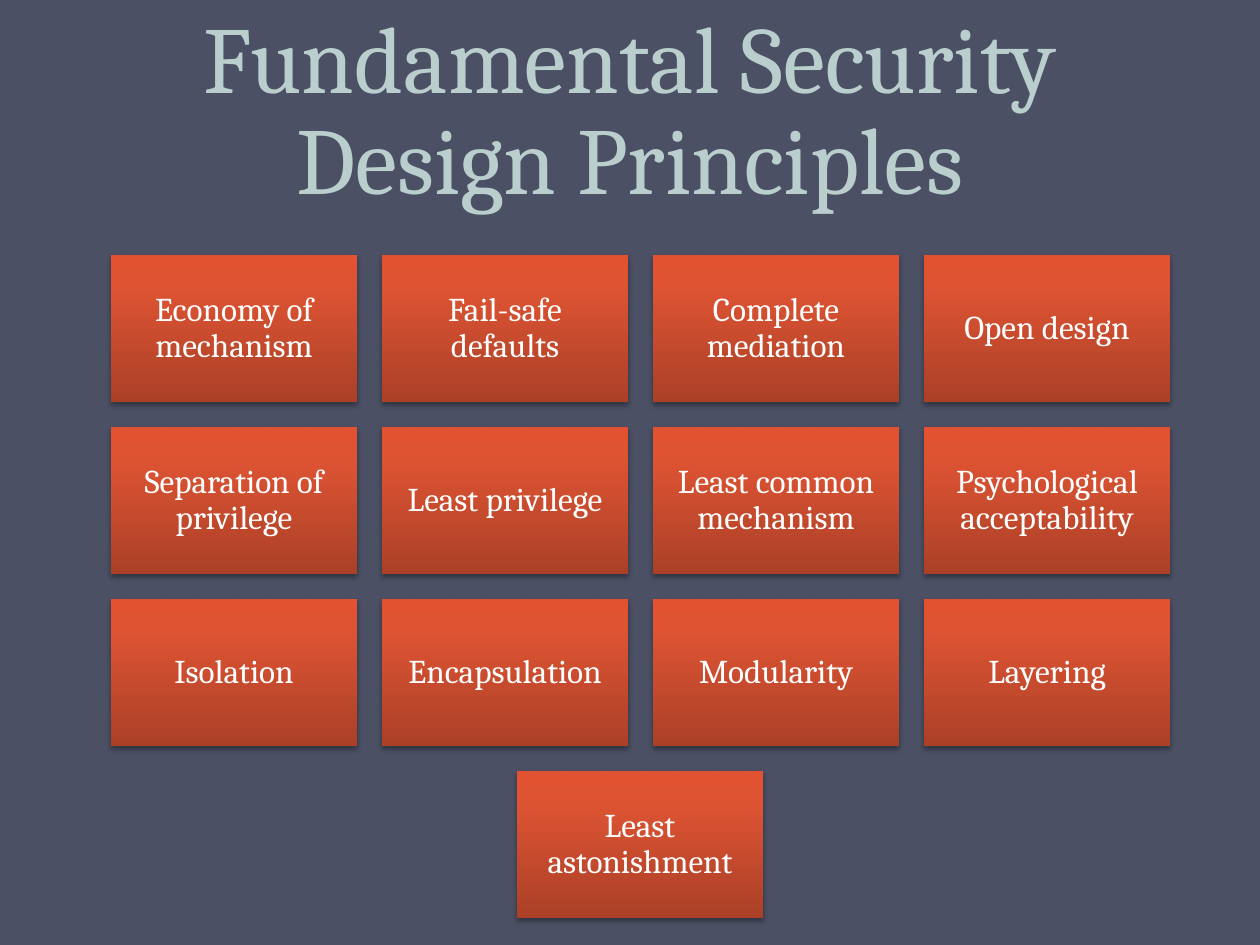
import lxml.etree
import pptx
import pptx.dml.color
import pptx.enum.shapes
import pptx.enum.text
import pptx.oxml
import pptx.oxml.ns
import pptx.util

RGB = pptx.dml.color.RGBColor
SLATE = RGB(0x4B, 0x50, 0x64)
MIST = RGB(0xBA, 0xCE, 0xCE)
WHITE = RGB(0xFF, 0xFF, 0xFF)
BLACK = RGB(0x00, 0x00, 0x00)
GRADIENT = ((0, RGB(0xAB, 0x40, 0x27)),
            (80, RGB(0xDE, 0x54, 0x33)),
            (100, RGB(0xE3, 0x52, 0x30)))

PRINCIPLES = (
    ("Economy of mechanism", "Fail-safe defaults", "Complete mediation", "Open design"),
    ("Separation of privilege", "Least privilege", "Least common mechanism",
     "Psychological acceptability"),
    ("Isolation", "Encapsulation", "Modularity", "Layering"),
    ("Least astonishment",),
)

# Tile grid, in px
LEFT, TOP = 111, 255
TILE_WIDTH, TILE_HEIGHT = 246, 147
STEP_X, STEP_Y = 271, 172
COLUMNS = 4


def px(length):
    return pptx.util.Emu(round(length * 914400 / 126))


class Sheet:
    font = "Cambria"

    def __init__(self, page):
        self.page = page

    def background(self, color):
        fill = self.page.background.fill
        fill.solid()
        fill.fore_color.rgb = color

    def label(self, shape, text, size, color, anchor, spacing):
        frame = shape.text_frame
        frame.word_wrap = True
        frame.vertical_anchor = anchor
        frame.text = text
        para = frame.paragraphs[0]
        para.alignment = pptx.enum.text.PP_ALIGN.CENTER
        para.line_spacing = spacing
        font = para.runs[0].font
        font.name, font.size = self.font, pptx.util.Pt(size)
        font.color.rgb = color

    def title(self, text, left, top, width, height):
        box = self.page.shapes.add_textbox(px(left), px(top), px(width), px(height))
        self.label(box, text, 54, MIST, pptx.enum.text.MSO_ANCHOR.BOTTOM, pptx.util.Pt(58))

    def tile(self, text, left, top):
        box = self.page.shapes.add_shape(
            pptx.enum.shapes.MSO_SHAPE.RECTANGLE,
            px(left), px(top), px(TILE_WIDTH), px(TILE_HEIGHT))
        box.line.fill.background()
        self.shade(box)
        self.drop_shadow(box)
        frame = box.text_frame
        frame.margin_left = frame.margin_right = px(10)
        frame.margin_top = frame.margin_bottom = px(10)
        self.label(box, text, 19, WHITE, pptx.enum.text.MSO_ANCHOR.MIDDLE, 0.9)

    def shade(self, box):
        # Three stops, running from the bottom edge to the top
        box.fill.background()
        stops = "".join(
            f'<a:gs pos="{place * 1000}"><a:srgbClr val="{color}"/></a:gs>'
            for place, color in GRADIENT)
        gradient = pptx.oxml.parse_xml(
            f'<a:gradFill {pptx.oxml.ns.nsdecls("a")} rotWithShape="1">'
            f'<a:gsLst>{stops}</a:gsLst><a:lin ang="16200000" scaled="0"/></a:gradFill>')
        properties = box.element.spPr
        properties.replace(properties.find(pptx.oxml.ns.qn("a:noFill")), gradient)

    def drop_shadow(self, box):
        box.shadow.inherit = False
        effects = box.element.spPr.find(pptx.oxml.ns.qn("a:effectLst"))
        shadow = lxml.etree.SubElement(
            effects, pptx.oxml.ns.qn("a:outerShdw"),
            blurRad=str(int(pptx.util.Pt(3.1))), dist=str(int(pptx.util.Pt(1.8))),
            dir="5400000", rotWithShape="0")
        color = lxml.etree.SubElement(shadow, pptx.oxml.ns.qn("a:srgbClr"), val=str(BLACK))
        lxml.etree.SubElement(color, pptx.oxml.ns.qn("a:alpha"), val="35000")


def main():
    deck = pptx.Presentation()
    deck.slide_width, deck.slide_height = px(1260), px(945)
    sheet = Sheet(deck.slides.add_slide(deck.slide_layouts[6]))
    sheet.background(SLATE)

    # Heading
    sheet.title("Fundamental Security Design Principles", 63, 0, 1134, 220)

    # Tiles, with a short row centred
    for row, names in enumerate(PRINCIPLES):
        indent = (COLUMNS - len(names)) * STEP_X // 2
        for column, name in enumerate(names):
            sheet.tile(name, LEFT + indent + column * STEP_X, TOP + row * STEP_Y)

    deck.save("out.pptx")


if __name__ == "__main__":
    main()
